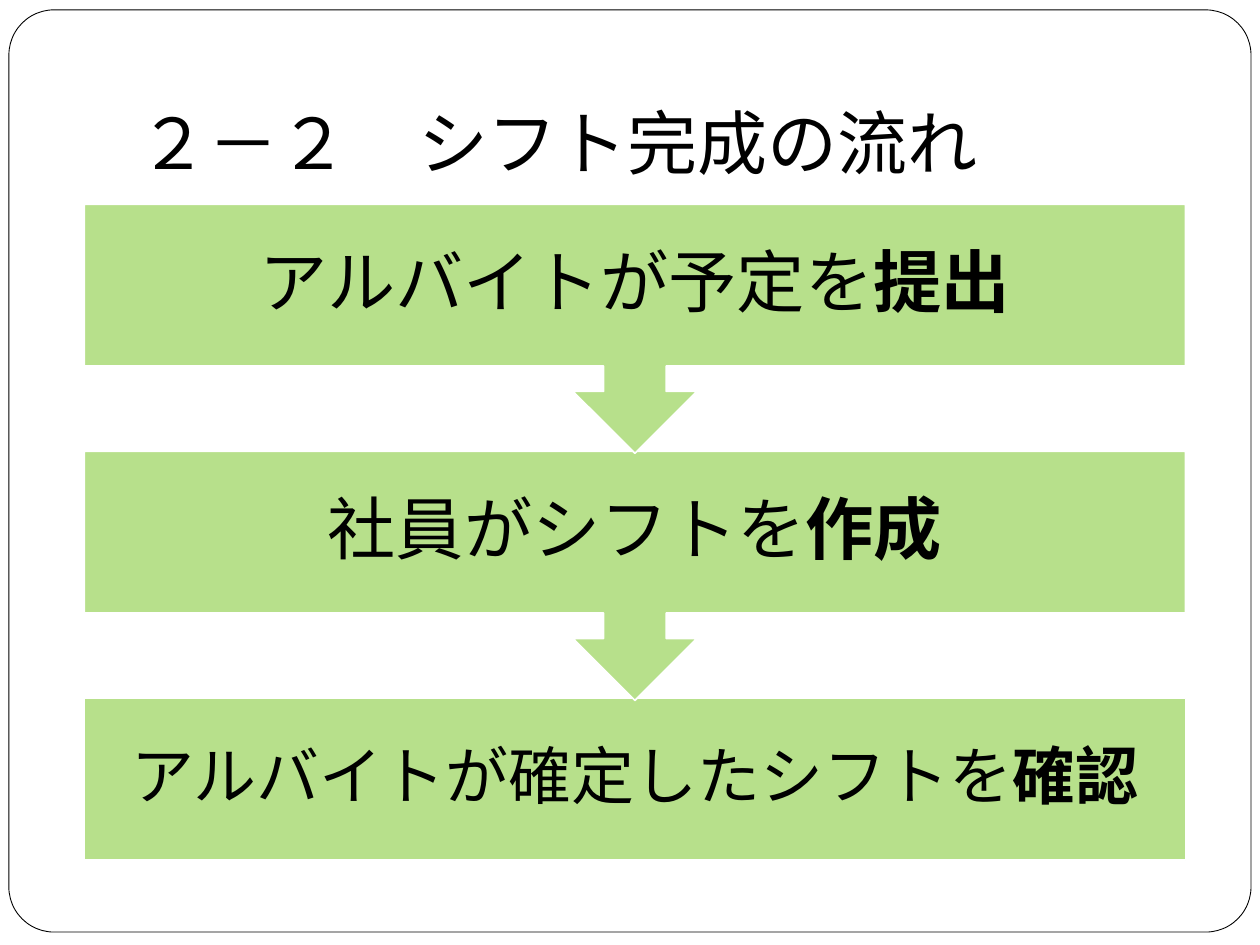
from lxml import etree
from pptx import Presentation
from pptx.dml.color import RGBColor
from pptx.enum.shapes import MSO_SHAPE
from pptx.enum.text import MSO_ANCHOR, PP_ALIGN
from pptx.oxml.ns import qn
from pptx.util import Cm, Pt

ROUNDED = MSO_SHAPE.ROUNDED_RECTANGLE
MIDDLE, BOTTOM = MSO_ANCHOR.MIDDLE, MSO_ANCHOR.BOTTOM
CENTER = PP_ALIGN.CENTER
COLORS = {"paper": "FFFFFF", "ink": "000000", "step": "92D050"}
TITLE_FONT, STEP_FONT = "Roboto", "Times New Roman"
STEP_OPACITY = 66
STEP_PITCH, BOX_HEIGHT = 4.98, 3.26
NECK_HALF, HEAD_HALF, HEAD_TOP, ARROW_TIP = 0.63, 1.25, 3.77, 5.02
STEPS = [
    ("アルバイトが予定を", "提出", 39),
    ("社員がシフトを", "作成", 39),
    ("アルバイトが確定したシフトを", "確認", 36),
]


def color(name):
    """Return the named colour."""
    return RGBColor.from_string(COLORS[name])


def paint(shape, fill, line, width):
    """Give a shape a flat fill and an outline."""
    shape.shadow.inherit = False
    shape.fill.solid()
    shape.fill.fore_color.rgb = color(fill)
    shape.line.color.rgb = color(line)
    shape.line.width = Pt(width)


def set_opacity(shape, percent):
    """Make the solid fill of a shape partly transparent."""
    fill_color = shape.fill._xPr.find(qn("a:solidFill"))[0]
    etree.SubElement(fill_color, qn("a:alpha")).set("val", str(percent * 1000))


def set_margins(frame, left, top, right, bottom):
    """Set the text margins in centimetres."""
    frame.margin_left, frame.margin_top = Cm(left), Cm(top)
    frame.margin_right, frame.margin_bottom = Cm(right), Cm(bottom)


def add_run(paragraph, text, font, size, bold=False):
    """Append a formatted run to a paragraph."""
    run = paragraph.add_run()
    run.text = text
    run.font.name = font
    run.font.size = Pt(size)
    run.font.bold = bold
    run.font.color.rgb = color("ink")


def add_frame(slide, left, top, width, height):
    """Draw the rounded border of the slide."""
    shape = slide.shapes.add_shape(ROUNDED, Cm(left), Cm(top), Cm(width), Cm(height))
    shape.adjustments[0] = 0.049
    paint(shape, "paper", "ink", 0.5)


def add_title(slide, text, left, top, width, height):
    """Write the heading at the bottom of its box."""
    box = slide.shapes.add_textbox(Cm(left), Cm(top), Cm(width), Cm(height))
    frame = box.text_frame
    frame.word_wrap = True
    frame.vertical_anchor = BOTTOM
    set_margins(frame, 0.25, 0.13, 0.25, 0.25)
    add_run(frame.paragraphs[0], text, TITLE_FONT, 40)


def add_step(slide, step, left, top, width, has_arrow):
    """Draw one step, with an arrow to the next one if needed."""
    text, action, size = step
    right, middle, bottom = left + width, left + width / 2, top + BOX_HEIGHT
    points = [(right, top), (right, bottom)]
    if has_arrow:
        points += [
            (middle + NECK_HALF, bottom),
            (middle + NECK_HALF, top + HEAD_TOP),
            (middle + HEAD_HALF, top + HEAD_TOP),
            (middle, top + ARROW_TIP),
            (middle - HEAD_HALF, top + HEAD_TOP),
            (middle - NECK_HALF, top + HEAD_TOP),
            (middle - NECK_HALF, bottom),
        ]
    points.append((left, bottom))
    builder = slide.shapes.build_freeform(Cm(left), Cm(top))
    builder.add_line_segments([(Cm(x), Cm(y)) for x, y in points], close=True)
    shape = builder.convert_to_shape()
    paint(shape, "step", "paper", 1)
    set_opacity(shape, STEP_OPACITY)
    frame = shape.text_frame
    frame.word_wrap = True
    frame.vertical_anchor = MIDDLE
    arrow_space = ARROW_TIP - BOX_HEIGHT if has_arrow else 0
    set_margins(frame, 0.76, 0.76, 0.76, 0.76 + arrow_space)
    paragraph = frame.paragraphs[0]
    paragraph.alignment = CENTER
    paragraph.line_spacing = 0.9
    add_run(paragraph, text, STEP_FONT, size)
    add_run(paragraph, action, STEP_FONT, size, bold=True)


def add_flow(slide, left, top, width):
    """Stack the steps from the last at the back to the first in front."""
    last = len(STEPS) - 1
    for index in range(last, -1, -1):
        step_top = top + index * STEP_PITCH
        add_step(slide, STEPS[index], left, step_top, width, index < last)


def main():
    """Build and save the presentation."""
    presentation = Presentation()
    presentation.slide_width, presentation.slide_height = Cm(25.4), Cm(19.05)
    slide = presentation.slides.add_slide(presentation.slide_layouts[6])
    add_frame(slide, 0.18, 0.2, 25.04, 18.59)
    add_title(slide, "２－２　シフト完成の流れ", 2.54, 0.76, 21.59, 3.18)
    add_flow(slide, 1.7, 4.12, 22.2)
    presentation.save("out.pptx")


main()
